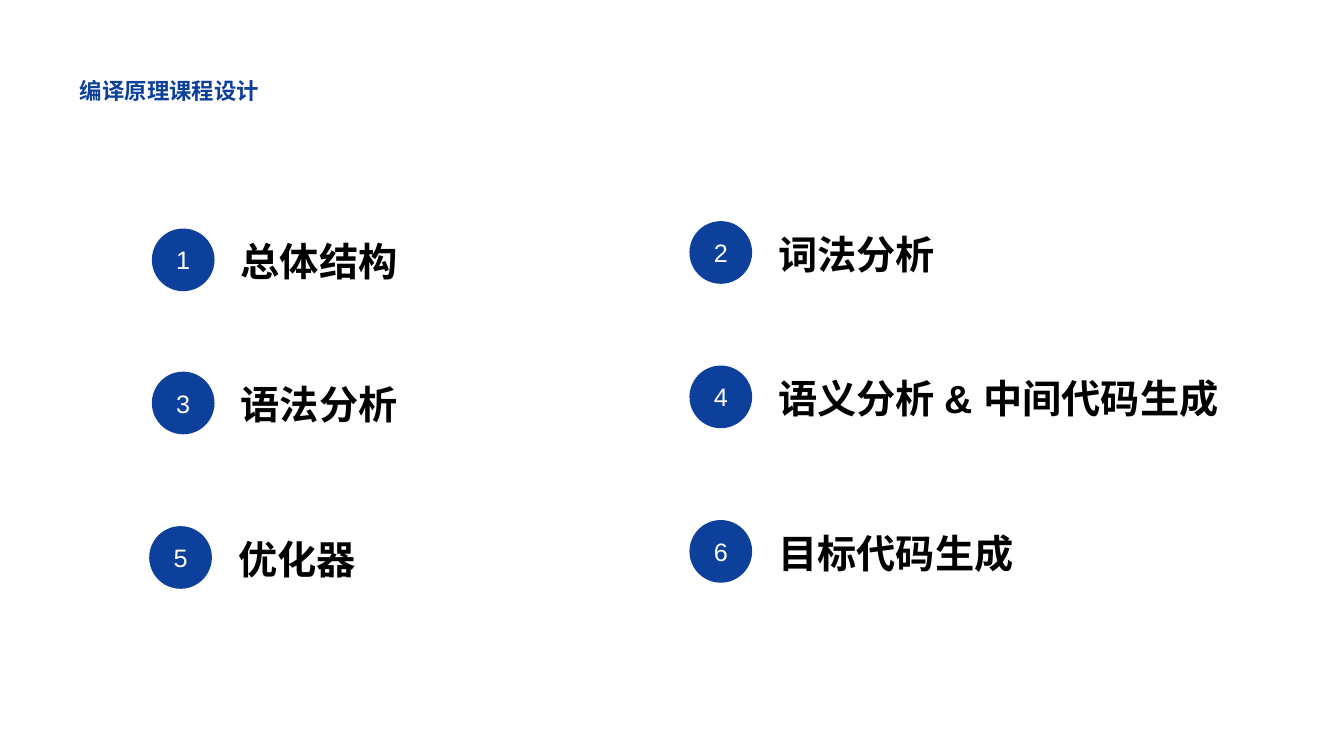
from pptx import Presentation
from pptx.dml.color import RGBColor
from pptx.enum.lang import MSO_LANGUAGE_ID as Lang
from pptx.enum.shapes import MSO_SHAPE as Shape
from pptx.enum.text import MSO_ANCHOR as Anchor, MSO_AUTO_SIZE as AutoSize, PP_ALIGN as Align
from pptx.util import Cm, Pt

BLUE = RGBColor(0x0D, 0x40, 0x9B)
BLACK = RGBColor(0, 0, 0)
WHITE = RGBColor(255, 255, 255)

DISC = 2.37
LABEL_DX, LABEL_DY = 3.36, 0.34

# circle left, circle top, label width (cm), label
TOPICS = [
    (5.74, 8.64, 6.4, "总体结构"),
    (26.06, 8.36, 6.53, "词法分析"),
    (5.74, 14.05, 6.55, "语法分析"),
    (26.06, 13.82, 17.35, "语义分析 & 中间代码生成"),
    (5.64, 19.89, 6.65, "优化器"),
    (26.06, 19.66, 9.22, "目标代码生成"),
]


def write(shape, text, size, color, bold=True, align=Align.LEFT, anchor=Anchor.TOP):
    """Fill a shape with one line of text, without margins, at 1.2 line spacing."""
    frame = shape.text_frame
    frame_format = {
        "word_wrap": True, "auto_size": AutoSize.NONE, "vertical_anchor": anchor,
        "margin_left": 0, "margin_top": 0, "margin_right": 0, "margin_bottom": 0,
    }
    for name, value in frame_format.items():
        setattr(frame, name, value)
    para = frame.paragraphs[0]
    para.alignment = align
    para.line_spacing = Pt(size * 1.2)
    span = para.add_run()
    span.text = text
    font_format = {"name": "Arial", "size": Pt(size), "bold": bold,
                   "language_id": Lang.SIMPLIFIED_CHINESE}
    for name, value in font_format.items():
        setattr(span.font, name, value)
    span.font.color.rgb = color


deck = Presentation()
deck.slide_width, deck.slide_height = Cm(50.8), Cm(28.58)
page = deck.slides.add_slide(deck.slide_layouts[5])

title = page.shapes.title
title_place = {"left": Cm(3.02), "top": Cm(2.92), "width": Cm(15.04), "height": Cm(1.02)}
for name, value in title_place.items():
    setattr(title, name, value)
write(title, "编译原理课程设计", 24, BLUE)

for number, (left, top, width, label) in enumerate(TOPICS, start=1):
    disc = page.shapes.add_shape(Shape.OVAL, Cm(left), Cm(top), Cm(DISC), Cm(DISC))
    disc.shadow.inherit = False
    disc.fill.solid()
    disc.fill.fore_color.rgb = BLUE
    disc.line.fill.background()
    write(disc, str(number), 27, WHITE, False, Align.CENTER, Anchor.MIDDLE)

    box = page.shapes.add_textbox(Cm(left + LABEL_DX), Cm(top + LABEL_DY), Cm(width), Cm(1.9))
    write(box, label, 42, BLACK)

deck.save("out.pptx")
